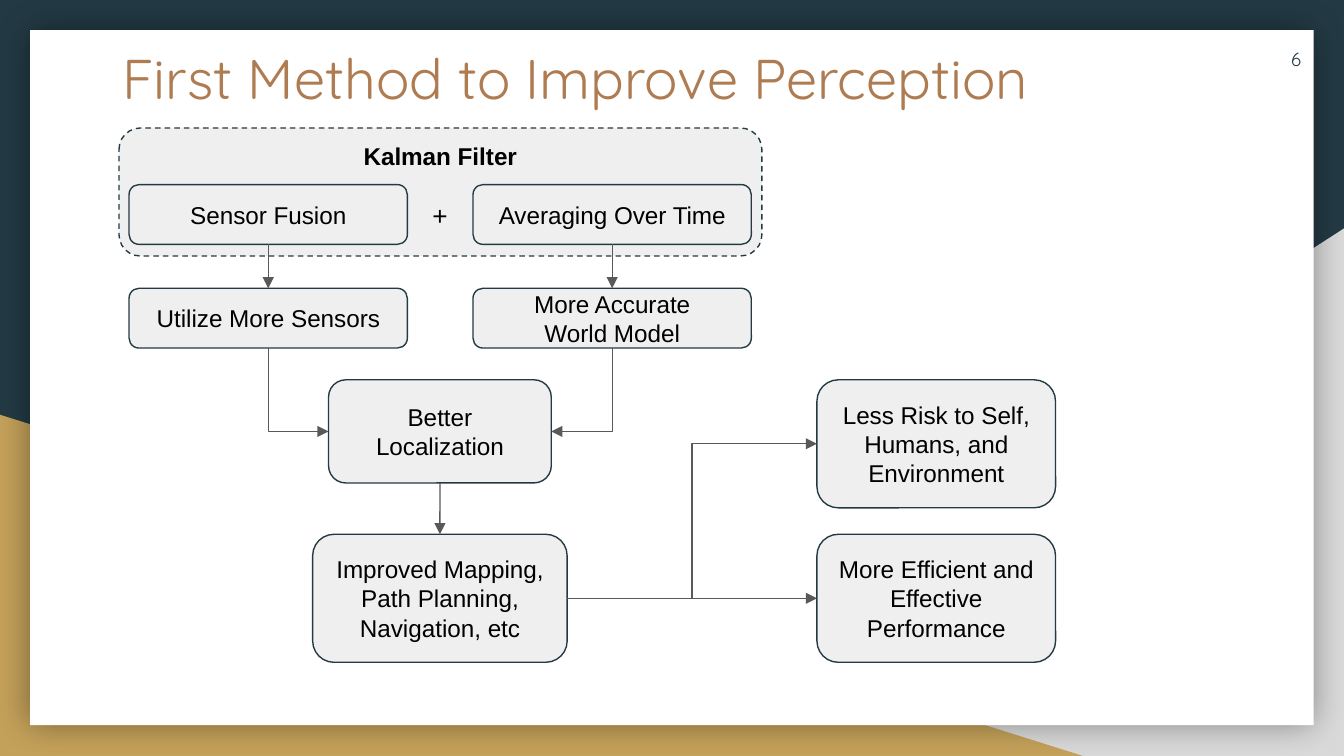
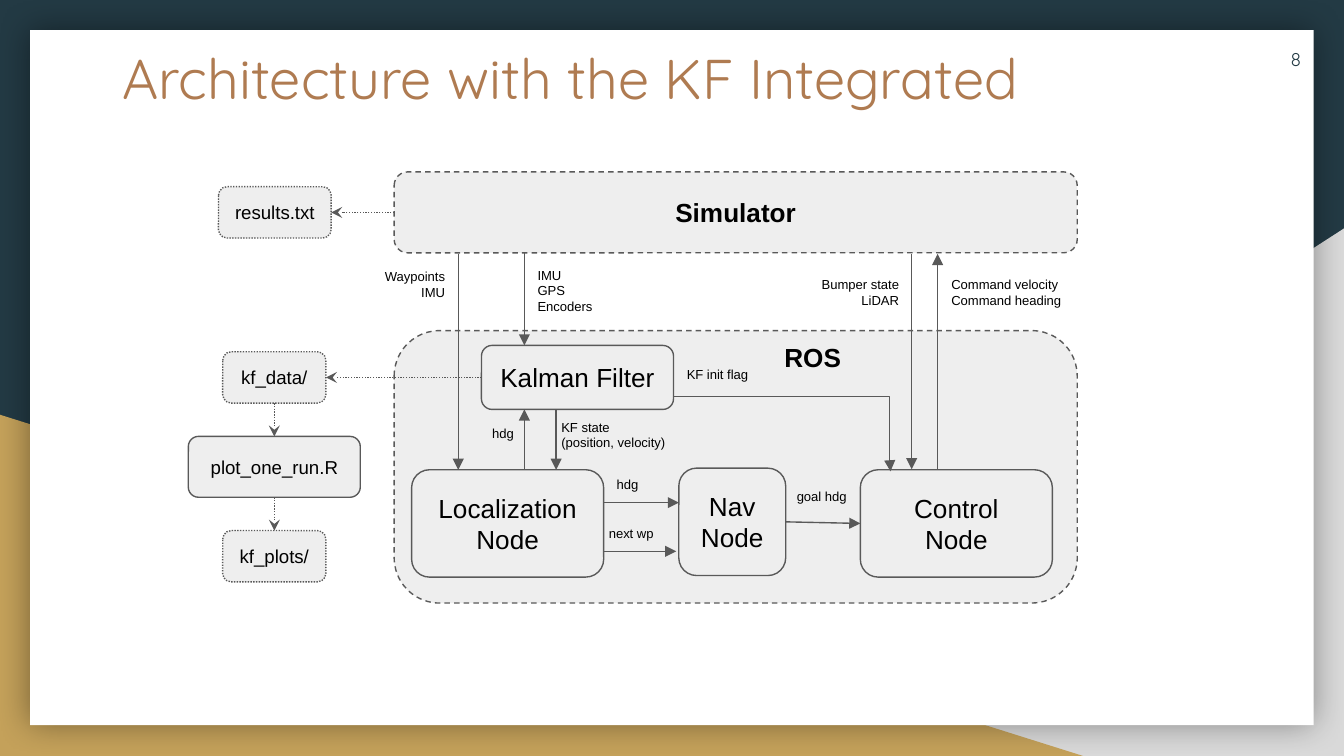
"""Build two slides on improving robot perception with a Kalman filter."""
from dataclasses import dataclass
from typing import NamedTuple, Optional, Union

from lxml.etree import SubElement
from pptx import Presentation
from pptx.dml.color import RGBColor
from pptx.enum.dml import MSO_LINE
from pptx.enum.shapes import MSO_CONNECTOR, MSO_SHAPE
from pptx.enum.text import MSO_ANCHOR, MSO_AUTO_SIZE, PP_ALIGN
from pptx.oxml.ns import qn
from pptx.util import Cm, Pt

COLORS = {
    "navy": "233A44", "gold": "C4A15A", "silver": "D9D9D9", "paper": "FFFFFF",
    "copper": "AF7B51", "ink": "000000", "gray": "595959",
    "mist": "EFEFEF", "fog": "EEEEEE",
}
SLIDE_W, SLIDE_H = 25.4, 14.29
LEFT, CENTER, RIGHT = PP_ALIGN.LEFT, PP_ALIGN.CENTER, PP_ALIGN.RIGHT
DASH, DOT = MSO_LINE.DASH, MSO_LINE.ROUND_DOT
TOP_SIDE, LEFT_SIDE, BOTTOM_SIDE, RIGHT_SIDE = range(4)


class Area(NamedTuple):
    left: float
    top: float
    width: float
    height: float

    def side(self, site: int) -> tuple[float, float]:
        across, down = ((0.5, 0), (0, 0.5), (0.5, 1), (1, 0.5))[site]
        return self.left + across * self.width, self.top + down * self.height


class Joint(NamedTuple):
    box: str
    site: int


class Point(NamedTuple):
    x: float
    y: float


@dataclass(frozen=True)
class TextStyle:
    size: float = 13
    font: str = "Arial"
    color: str = "ink"
    bold: bool = False
    align: PP_ALIGN = CENTER
    anchor: MSO_ANCHOR = MSO_ANCHOR.TOP


@dataclass(frozen=True)
class Box:
    key: str
    area: Area
    lines: tuple[str, ...] = ()
    size: float = 13
    bold: bool = False
    dash: Optional[MSO_LINE] = None


@dataclass(frozen=True)
class Label:
    area: Area
    lines: tuple[str, ...]
    align: PP_ALIGN = CENTER
    size: float = 7
    bold: bool = False


@dataclass(frozen=True)
class Arrow:
    start: Union[Joint, Point]
    end: Union[Joint, Point]
    bend: Optional[float] = None
    corner: bool = False
    dotted: bool = False


@dataclass(frozen=True)
class Diagram:
    title: str
    number: str
    fill: str
    outline: str
    boxes: tuple[Box, ...]
    arrows: tuple[Arrow, ...]
    labels: tuple[Label, ...]


def rgb(name: str) -> RGBColor:
    return RGBColor.from_string(COLORS[name])


def lengths(area: Area) -> list[Cm]:
    return [Cm(value) for value in area]


def write(shape, lines: tuple[str, ...], style: TextStyle) -> None:
    frame = shape.text_frame
    frame.word_wrap = True
    frame.vertical_anchor = style.anchor
    frame.margin_left = frame.margin_right = Cm(0.25)
    frame.margin_top = frame.margin_bottom = Cm(0.25)
    for index, line in enumerate(lines):
        paragraph = frame.add_paragraph() if index else frame.paragraphs[0]
        paragraph.alignment = style.align
        run = paragraph.add_run()
        run.text = line
        run.font.size = Pt(style.size)
        run.font.name = style.font
        run.font.bold = style.bold
        run.font.color.rgb = rgb(style.color)


def add_panel(slide, preset: MSO_SHAPE, area: Area, fill: str):
    panel = slide.shapes.add_shape(preset, *lengths(area))
    panel.shadow.inherit = False
    panel.fill.solid()
    panel.fill.fore_color.rgb = rgb(fill)
    panel.line.fill.background()
    return panel


def add_glow(panel) -> None:
    effects = panel.element.spPr.find(qn("a:effectLst"))
    shadow = SubElement(effects, qn("a:outerShdw"), blurRad=str(Pt(18)), dist="0",
                        algn="ctr", rotWithShape="0")
    color = SubElement(shadow, qn("a:srgbClr"), val=COLORS["ink"])
    SubElement(color, qn("a:alpha"), val="40000")


def add_text(slide, area: Area, lines: tuple[str, ...], style: TextStyle):
    text_box = slide.shapes.add_textbox(*lengths(area))
    write(text_box, lines, style)
    return text_box


def add_frame(slide, title: str, number: str) -> None:
    slide.background.fill.solid()
    slide.background.fill.fore_color.rgb = rgb("navy")
    silver = Area(9.96, 4.32, SLIDE_W - 9.96, SLIDE_H - 4.32)
    corner = add_panel(slide, MSO_SHAPE.RIGHT_TRIANGLE, silver, "silver")
    corner.element.spPr.xfrm.set("flipH", "1")
    gold = Area(0, 7.84, 20.47, SLIDE_H - 7.84)
    add_panel(slide, MSO_SHAPE.RIGHT_TRIANGLE, gold, "gold")
    paper = Area(0.57, 0.57, 24.26, 13.14)
    add_glow(add_panel(slide, MSO_SHAPE.RECTANGLE, paper, "paper"))
    add_text(slide, Area(2.06, 0.58, 20.85, 1.7), (title,),
             TextStyle(30, "Quicksand", "copper", align=LEFT))
    add_text(slide, Area(23.32, 0.58, 1.52, 1.09), (number,),
             TextStyle(10, "Quicksand", "navy", align=RIGHT, anchor=MSO_ANCHOR.MIDDLE))


def add_box(slide, box: Box, fill: str, outline: str):
    shape = add_panel(slide, MSO_SHAPE.ROUNDED_RECTANGLE, box.area, fill)
    shape.line.color.rgb = rgb(outline)
    shape.line.width = Pt(0.75)
    if box.dash:
        shape.line.dash_style = box.dash
    write(shape, box.lines,
          TextStyle(box.size, bold=box.bold, anchor=MSO_ANCHOR.MIDDLE))
    return shape


def turn_into_corner(connector) -> None:
    leftward = connector.end_x < connector.begin_x
    width, height = connector.width, connector.height
    connector.left += (width - height) // 2
    connector.top += (height - width) // 2
    connector.width, connector.height = height, width
    xfrm = connector.element.spPr.xfrm
    xfrm.set("rot", str((90 if leftward else 270) * 60000))
    xfrm.set("flipH", "0" if leftward else "1")
    connector.element.spPr.find(qn("a:prstGeom")).set("prst", "bentConnector2")


def add_arrow(slide, arrow: Arrow, areas: dict[str, Area], shapes: dict) -> None:
    ends = [areas[end.box].side(end.site) if isinstance(end, Joint) else end
            for end in (arrow.start, arrow.end)]
    elbow = arrow.corner or arrow.bend is not None
    kind = MSO_CONNECTOR.ELBOW if elbow else MSO_CONNECTOR.STRAIGHT
    connector = slide.shapes.add_connector(kind, *(Cm(v) for end in ends for v in end))
    if isinstance(arrow.start, Joint):
        connector.begin_connect(shapes[arrow.start.box], arrow.start.site)
    if isinstance(arrow.end, Joint):
        connector.end_connect(shapes[arrow.end.box], arrow.end.site)
    properties = connector.element.spPr
    if arrow.corner:
        turn_into_corner(connector)
    elif elbow:
        guides = properties.find(qn("a:prstGeom")).get_or_add_avLst()
        SubElement(guides, qn("a:gd"), name="adj1",
                   fmla=f"val {round(arrow.bend * 100000)}")
    connector.line.color.rgb = rgb("gray")
    connector.line.width = Pt(0.75)
    if arrow.dotted:
        connector.line.dash_style = DOT
    SubElement(properties.find(qn("a:ln")), qn("a:tailEnd"),
               type="stealth" if arrow.dotted else "triangle")
    SubElement(properties, qn("a:effectLst"))


def add_diagram(deck, diagram: Diagram) -> None:
    slide = deck.slides.add_slide(deck.slide_layouts[6])
    add_frame(slide, diagram.title, diagram.number)
    shapes = {box.key: add_box(slide, box, diagram.fill, diagram.outline)
              for box in diagram.boxes}
    areas = {box.key: box.area for box in diagram.boxes}
    for arrow in diagram.arrows:
        add_arrow(slide, arrow, areas, shapes)
    for label in diagram.labels:
        text_box = add_text(slide, label.area, label.lines,
                            TextStyle(label.size, bold=label.bold, align=label.align))
        text_box.text_frame.auto_size = MSO_AUTO_SIZE.SHAPE_TO_FIT_TEXT


def step(key: str, left: float, top: float, *lines: str) -> Box:
    return Box(key, Area(left, top, 5.26, 1.13), lines)


def node(key: str, left: float, top: float, width: float, *lines: str) -> Box:
    return Box(key, Area(left, top, width, 2.03), lines, 14)


def output(key: str, left: float, top: float, width: float) -> Box:
    return Box(key, Area(left, top, width, 0.97), (key,), 10, dash=DOT)


def link(start: str, start_site: int, end: str, end_site: int, **look) -> Arrow:
    return Arrow(Joint(start, start_site), Joint(end, end_site), **look)


def free(x1: float, y1: float, x2: float, y2: float, **look) -> Arrow:
    return Arrow(Point(x1, y1), Point(x2, y2), **look)


PERCEPTION = Diagram(
    "First Method to Improve Perception", "6", "mist", "navy",
    boxes=(
        Box("filter", Area(2.25, 2.42, 12.15, 2.42), dash=DASH),
        step("fusion", 2.44, 3.49, "Sensor Fusion"),
        step("averaging", 8.94, 3.49, "Averaging Over Time"),
        step("sensors", 2.44, 5.45, "Utilize More Sensors"),
        step("model", 8.94, 5.45, "More Accurate", "World Model"),
        Box("localization", Area(6.21, 7.18, 4.21, 1.95), ("Better Localization",)),
        Box("mapping", Area(5.91, 10.1, 4.81, 2.42),
            ("Improved Mapping, Path Planning,", "Navigation, etc")),
        Box("risk", Area(15.44, 7.18, 4.51, 2.42),
            ("Less Risk to Self, Humans, and Environment",)),
        Box("performance", Area(15.44, 10.1, 4.51, 2.42),
            ("More Efficient and Effective Performance",)),
    ),
    arrows=(
        link("fusion", BOTTOM_SIDE, "sensors", TOP_SIDE),
        link("averaging", BOTTOM_SIDE, "model", TOP_SIDE),
        link("sensors", BOTTOM_SIDE, "localization", LEFT_SIDE, corner=True),
        link("model", BOTTOM_SIDE, "localization", RIGHT_SIDE, corner=True),
        link("localization", BOTTOM_SIDE, "mapping", TOP_SIDE),
        link("mapping", RIGHT_SIDE, "risk", LEFT_SIDE, bend=0.5),
        Arrow(Point(11.28, 11.31), Joint("performance", LEFT_SIDE)),
    ),
    labels=(
        Label(Area(5.13, 2.42, 6.38, 1.07), ("Kalman Filter",), size=13, bold=True),
        Label(Area(7.82, 3.51, 0.99, 1.12), ("+",), size=14),
    ),
)

ARCHITECTURE = Diagram(
    "Architecture with the KF Integrated", "8", "fog", "gray",
    boxes=(
        Box("ROS", Area(7.45, 6.25, 12.91, 5.15), dash=DASH),
        Box("simulator", Area(7.45, 3.25, 12.91, 1.53), ("Simulator",), 14, True, DASH),
        node("localization", 7.78, 8.88, 3.63, "Localization", "Node"),
        node("nav", 12.83, 8.85, 2.02, "Nav", "Node"),
        node("control", 16.26, 8.88, 3.63, "Control", "Node"),
        Box("filter", Area(9.1, 6.53, 3.63, 1.21), ("Kalman Filter",), 14),
        Box("plotter", Area(3.56, 8.25, 3.25, 1.15), ("plot_one_run.R",), 10),
        output("results.txt", 4.13, 3.53, 2.13),
        output("kf_data/", 4.21, 6.65, 1.95),
        output("kf_plots/", 4.21, 10.03, 1.95),
    ),
    arrows=(
        link("simulator", LEFT_SIDE, "results.txt", RIGHT_SIDE, dotted=True),
        link("filter", LEFT_SIDE, "kf_data/", RIGHT_SIDE, dotted=True),
        link("kf_data/", BOTTOM_SIDE, "plotter", TOP_SIDE, dotted=True),
        link("plotter", BOTTOM_SIDE, "kf_plots/", TOP_SIDE, dotted=True),
        link("nav", RIGHT_SIDE, "control", LEFT_SIDE),
        free(8.66, 4.8, 8.66, 8.88), free(9.91, 4.78, 9.91, 6.53),
        free(17.23, 4.8, 17.23, 8.87), free(17.72, 8.88, 17.72, 4.8),
        free(9.91, 8.87, 9.91, 7.74), free(10.51, 7.74, 10.51, 8.88),
        free(11.41, 9.5, 12.83, 9.5), free(11.41, 10.42, 12.78, 10.42),
        free(12.73, 7.5, 16.83, 8.91, bend=0.997),
    ),
    labels=(
        Label(Area(6.65, 4.83, 2.01, 1.42), ("Waypoints", "IMU"), RIGHT),
        Label(Area(9.91, 4.8, 2.77, 1.42), ("IMU", "GPS", "Encoders"), LEFT),
        Label(Area(15.11, 4.98, 2.13, 1.12), ("Bumper state", "LiDAR"), RIGHT),
        Label(Area(17.73, 4.98, 2.64, 1.12), ("Command velocity", "Command heading"), LEFT),
        Label(Area(14.38, 6.2, 1.96, 1.12), ("ROS",), size=14, bold=True),
        Label(Area(12.73, 6.78, 1.7, 0.81), ("KF init flag",), LEFT),
        Label(Area(8.89, 7.9, 1.07, 0.81), ("hdg",), RIGHT),
        Label(Area(10.36, 7.67, 2.64, 1.12), ("KF state", "(position, velocity)"), LEFT),
        Label(Area(11.3, 8.86, 1.12, 0.81), ("hdg",)),
        Label(Area(11.23, 9.78, 1.4, 0.81), ("next wp",)),
        Label(Area(14.73, 9.09, 1.6, 0.81), ("goal hdg",)),
    ),
)


def main() -> None:
    deck = Presentation()
    deck.slide_width, deck.slide_height = Cm(SLIDE_W), Cm(SLIDE_H)
    for diagram in (PERCEPTION, ARCHITECTURE):
        add_diagram(deck, diagram)
    deck.save("out.pptx")


if __name__ == "__main__":
    main()
